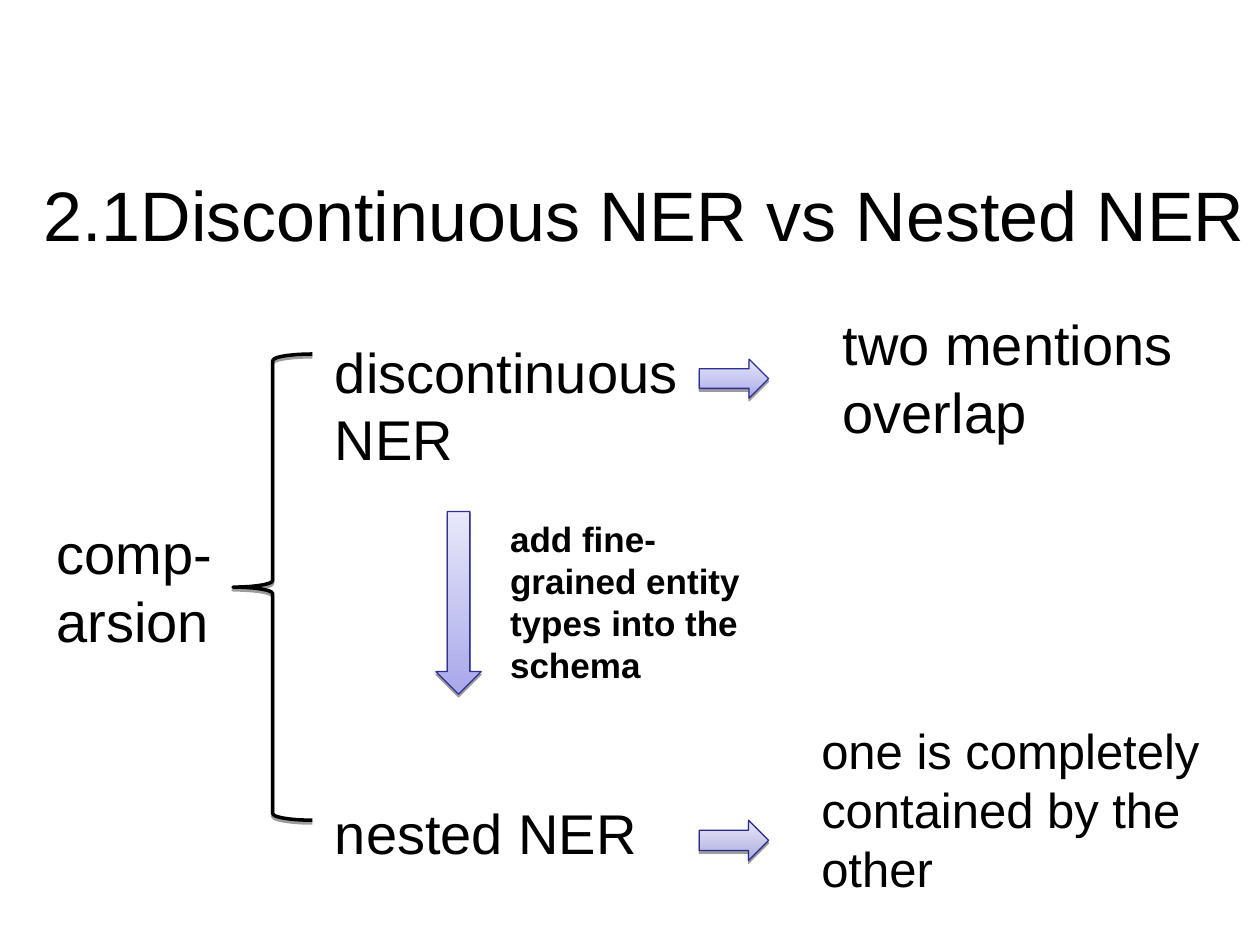
import dataclasses

import pptx
import pptx.dml.color
import pptx.enum.shapes
import pptx.enum.text
import pptx.oxml
import pptx.oxml.ns
import pptx.slide
import pptx.util

PX = 9144  # EMU per px, at 100 px to the inch
FONT = "Arial"
BLACK = "000000"
SHAPES = pptx.enum.shapes.MSO_SHAPE
ANCHORS = pptx.enum.text.MSO_ANCHOR
ALIGNS = pptx.enum.text.PP_ALIGN
FITS = pptx.enum.text.MSO_AUTO_SIZE


@dataclasses.dataclass(frozen=True)
class Box:
    left: int
    top: int
    width: int
    height: int

    def emu(self) -> tuple[int, ...]:
        return tuple(value * PX for value in dataclasses.astuple(self))


@dataclasses.dataclass(frozen=True)
class Label:
    text: str
    box: Box
    size: int = 32
    bold: bool = False


@dataclasses.dataclass(frozen=True)
class Arrow:
    box: Box
    kind: SHAPES = SHAPES.RIGHT_ARROW
    dark: str = "A8A8EA"
    light: str = "E8E8FA"
    outline: str = "2F2F98"


TITLE = Label("2.1Discontinuous NER vs Nested NER", Box(22, 107, 978, 125), 40)
BRACE = Box(185, 281, 63, 370)
LABELS = [
    Label("comp-arsion", Box(35, 407, 150, 117)),
    Label("nested NER", Box(256, 629, 277, 64)),
    Label("discontinuous NER", Box(256, 263, 299, 117)),
    Label("two mentions overlap", Box(659, 241, 323, 117)),
    Label("one is completely contained by the other", Box(642, 567, 350, 150), 28),
    Label("add fine-grained entity types into the schema",
          Box(395, 406, 210, 144), 20, bold=True),
]
ARROWS = [
    Arrow(Box(555, 285, 55, 31)),
    Arrow(Box(555, 651, 55, 32), dark="ACACE1", light="E9E9F7", outline="292989"),
    Arrow(Box(346, 406, 36, 145), SHAPES.DOWN_ARROW),
]


def color(value: str) -> pptx.dml.color.RGBColor:
    return pptx.dml.color.RGBColor.from_string(value)


def add_label(page: pptx.slide.Slide, label: Label, is_title: bool = False) -> None:
    frame = page.shapes.add_textbox(*label.box.emu()).text_frame
    frame.word_wrap = True
    frame.auto_size = FITS.NONE if is_title else FITS.SHAPE_TO_FIT_TEXT
    frame.vertical_anchor = ANCHORS.MIDDLE if is_title else ANCHORS.TOP
    para = frame.paragraphs[0]
    para.text = label.text
    para.alignment = ALIGNS.CENTER if is_title else ALIGNS.LEFT
    para.font.name = FONT
    para.font.size = pptx.util.Pt(label.size)
    para.font.bold = label.bold
    para.font.color.rgb = color(BLACK)


def add_outlined(page: pptx.slide.Slide, kind: SHAPES, box: Box, outline: str, points: float):
    """Add a preset shape with an outline and a hard shadow just below it."""
    shape = page.shapes.add_shape(kind, *box.emu())
    shape.line.color.rgb = color(outline)
    shape.line.width = pptx.util.Pt(points)
    shape.shadow.inherit = False
    effects = shape._element.spPr.find(pptx.oxml.ns.qn("a:effectLst"))
    effects.append(pptx.oxml.parse_xml(
        f'<a:outerShdw {pptx.oxml.ns.nsdecls("a")} dist="{pptx.util.Pt(1.6)}"'
        ' dir="5400000" rotWithShape="0">'
        f'<a:srgbClr val="{BLACK}"><a:alpha val="38000"/></a:srgbClr></a:outerShdw>'))
    return shape


def add_arrow(page: pptx.slide.Slide, arrow: Arrow) -> None:
    fill = add_outlined(page, arrow.kind, arrow.box, arrow.outline, 0.75).fill
    fill.gradient()
    fill.gradient_angle = 90
    for stop, shade in zip(fill.gradient_stops, (arrow.dark, arrow.light)):
        stop.color.rgb = color(shade)
    fill.gradient_stops[0].position = 0
    fill.gradient_stops[1].position = 1


def main() -> None:
    deck = pptx.Presentation()
    deck.slide_width, deck.slide_height = 1000 * PX, 750 * PX
    page = deck.slides.add_slide(deck.slide_layouts[6])
    add_label(page, TITLE, is_title=True)
    add_outlined(page, SHAPES.LEFT_BRACE, BRACE, BLACK, 2).fill.background()
    for label in LABELS:
        add_label(page, label)
    for arrow in ARROWS:
        add_arrow(page, arrow)
    deck.save("out.pptx")


if __name__ == "__main__":
    main()
